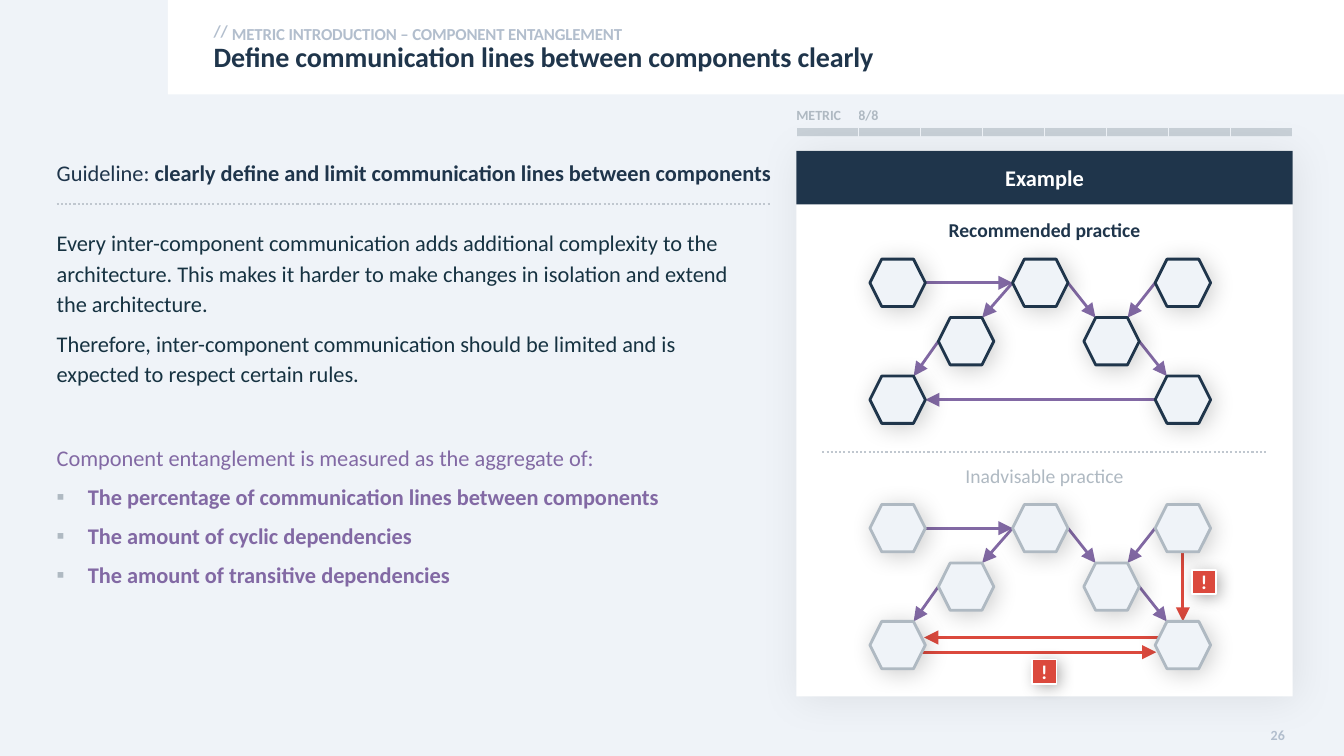
from lxml.etree import SubElement
from pptx import Presentation
from pptx.dml.color import RGBColor
from pptx.enum.dml import MSO_LINE
from pptx.enum.shapes import MSO_CONNECTOR, MSO_SHAPE
from pptx.enum.text import MSO_ANCHOR, MSO_AUTO_SIZE, PP_ALIGN
from pptx.oxml import parse_xml
from pptx.oxml.ns import nsdecls, qn
from pptx.util import Inches, Pt

COLS, ROWS = 160, 90
SLIDE_W, SLIDE_H = Inches(13.333), Inches(7.5)
FONT = "Calibri"
NAVY, INK, PURPLE, RED = "1F354B", "163241", "8269A4", "DB493D"
PALE, WHITE, MUTED, GREY, DOTS = "EFF3F8", "FFFFFF", "B2BECD", "AFB9C2", "C0C7CF"
NO_STYLE = "{2D5ABB26-0587-4C30-8999-92F81FD0307C}"

HEX_W, HEX_H = 6.6, 5.64
HEX_COLUMNS, HEX_ROWS = [0, 0.24, 0.5, 0.75, 1], [0, 0.5, 1]
W, E, N, S = (0, 0.5), (1, 0.5), (0.5, 0), (0.5, 1)
NW, NE = (0.21, 0), (0.79, 0)
COMPONENTS = [(0, 0), (2, 0), (4, 0), (1, 1), (3, 1), (0, 2), (4, 2)]
SHARED_LINKS = [
    ((0, 0), E, (2, 0), W), ((2, 0), W, (1, 1), NE), ((1, 1), W, (0, 2), NE),
    ((2, 0), E, (3, 1), NW), ((4, 0), W, (3, 1), NE), ((3, 1), E, (4, 2), NW),
]
RETURN_LINK = [((4, 2), W, (0, 2), E)]
BAD_LINKS = [
    ((4, 2), (0.18, 0.34), (0, 2), (0.98, 0.34)),
    ((0, 2), (0.82, 0.65), (4, 2), (0.02, 0.65)),
    ((4, 0), S, (4, 2), N),
]


def rgb(value):
    return RGBColor.from_string(value)


def place(x, y, w, h):
    col, row = SLIDE_W / COLS, SLIDE_H / ROWS
    return int(x * col), int(y * row), int(w * col), int(h * row)


def add_run(p, text, size, color, bold=False, spacing=None):
    r = p.add_run()
    r.text = text
    r.font.name, r.font.size, r.font.bold = FONT, Pt(size), bold
    r.font.color.rgb = rgb(color)
    if spacing is not None:
        r.font._element.set("spc", str(spacing))


def format_frame(tf, insets=(0, 0, 0, 0), anchor=MSO_ANCHOR.TOP, wrap=True):
    tf.word_wrap, tf.vertical_anchor = wrap, anchor
    tf.auto_size = MSO_AUTO_SIZE.NONE
    tf.margin_left, tf.margin_top, tf.margin_right, tf.margin_bottom = map(Inches, insets)
    return tf.paragraphs[0]


def add_text(s, box, **frame):
    return format_frame(s.shapes.add_textbox(*place(*box)).text_frame, **frame)


def add_shadow(sp, alpha, blur):
    sp._element.spPr.append(parse_xml(
        f'<a:effectLst {nsdecls("a")}><a:outerShdw blurRad="{Pt(blur)}" dist="{Pt(3)}" '
        f'dir="2700000" algn="tl" rotWithShape="0"><a:srgbClr val="000000">'
        f'<a:alpha val="{alpha * 1000}"/></a:srgbClr></a:outerShdw></a:effectLst>'))


def add_block(s, box, fill, line=None, width=1, shadow=None, kind=MSO_SHAPE.RECTANGLE):
    sp = s.shapes.add_shape(kind, *place(*box))
    sp.fill.solid()
    sp.fill.fore_color.rgb = rgb(fill)
    if line:
        sp.line.color.rgb = rgb(line)
        sp.line.width = Pt(width)
    else:
        sp.line.fill.background()
    if shadow:
        add_shadow(sp, *shadow)
    else:
        sp.shadow.inherit = False
    return sp


def add_line(s, start, end, color, width, arrow=False):
    x1, y1, x2, y2 = place(*start, *end)
    line = s.shapes.add_connector(MSO_CONNECTOR.STRAIGHT, x1, y1, x2, y2)
    line.line.color.rgb = rgb(color)
    line.line.width = Pt(width)
    if arrow:
        SubElement(line.line._get_or_add_ln(), qn("a:tailEnd"), type="triangle", w="lg", len="lg")
    else:
        line.line.dash_style = MSO_LINE.ROUND_DOT
    SubElement(line._element.spPr, qn("a:effectLst"))


def add_header(s, box):
    x, y, w, h = box
    add_block(s, box, WHITE)
    p = add_text(s, (x + 4.24, y + 1.92, 4.44, 3.6), insets=(0.1, 0.05, 0.1, 0.05),
                 anchor=MSO_ANCHOR.MIDDLE)
    add_run(p, "//", 12, MUTED, True, -10)
    p = add_text(s, (x + 7.6, y + 2.28, w - 13.5, 2.88), insets=(0, 0.02, 0.1, 0))
    p.line_spacing = 1.14
    add_run(p, "METRIC INTRODUCTION – COMPONENT ENTANGLEMENT", 12, MUTED, True, -10)
    title = s.shapes.title
    s.shapes._spTree.append(title._element)
    title.left, title.top, title.width, title.height = place(x + 5.44, y + 5.16, w - 11.3, 3.72)
    p = format_frame(title.text_frame)
    p.alignment, p.line_spacing = PP_ALIGN.LEFT, 0.9
    add_run(p, "Define communication lines between components clearly", 20, NAVY, True, -10)


def add_guideline(s, box):
    x, y, w, h = box
    insets = (0, 0.05, 0, 0.05)
    p = add_text(s, (x, y, w, 6.36), insets=insets)
    p.line_spacing = 1.14
    add_run(p, "Guideline: ", 16, NAVY)
    add_run(p, "clearly define and limit communication lines between components", 16, NAVY, True)
    add_line(s, (x, y + 6.4), (x + 84.9, y + 6.4), DOTS, 1.5)

    p = add_text(s, (x, y + 8.38, 80.64, h - 8.38), insets=insets)
    tf = p._parent
    paragraphs = [
        ("Every inter-component communication adds additional complexity to the architecture. "
         "This makes it harder to make changes in isolation and extend the architecture.", INK, False),
        ("Therefore, inter-component communication should be limited and is expected to respect "
         "certain rules.", INK, False),
        ("Component entanglement is measured as the aggregate of:", PURPLE, False),
        ("The percentage of communication lines between components", PURPLE, True),
        ("The amount of cyclic dependencies", PURPLE, True),
        ("The amount of transitive dependencies", PURPLE, True),
    ]
    for i, (text, color, bullet) in enumerate(paragraphs):
        p = p if i == 0 else tf.add_paragraph()
        p.line_spacing, p.space_after = 1.14, Pt(6)
        if i == 2:
            p.space_before = Pt(32)
        if bullet:
            pPr = p._p.get_or_add_pPr()
            pPr.set("marL", str(Inches(0.31)))
            pPr.set("indent", str(-Inches(0.31)))
            SubElement(SubElement(pPr, qn("a:buClr")), qn("a:srgbClr"), val=GREY)
            SubElement(pPr, qn("a:buFont"), typeface=FONT)
            SubElement(pPr, qn("a:buChar"), char="▪")
        add_run(p, text, 16, color, bullet)


def add_progress(s, box):
    x, y, w, h = box
    bar = add_block(s, (x, y + 2.46, w, 0.96), GREY)
    color = bar._element.spPr.find(qn("a:solidFill"))[0]
    SubElement(color, qn("a:alpha"), val="60000")
    table = s.shapes.add_table(1, 8, *place(*box)).table
    table.first_row = table.horz_banding = False
    table._tbl.tblPr.find(qn("a:tableStyleId")).text = NO_STYLE
    for cell, text in zip(table.rows[0].cells, ["METRIC", "8/8"] + [""] * 6):
        cell.margin_left = cell.margin_top = cell.margin_right = cell.margin_bottom = 0
        cell.fill.background()
        for i, side in enumerate(["lnL", "lnR"]):
            cell._tc.get_or_add_tcPr().insert(i, parse_xml(
                f'<a:{side} {nsdecls("a")} w="{Pt(1)}"><a:solidFill><a:srgbClr val="{PALE}"/>'
                f'</a:solidFill></a:{side}>'))
        if text:
            add_run(cell.text_frame.paragraphs[0], text, 10, GREY, True)


def add_diagram(s, box, outline, links, badges=()):
    x, y, w, h = box

    def point(component, anchor):
        col, row = component
        return (x + HEX_COLUMNS[col] * (w - HEX_W) + anchor[0] * HEX_W,
                y + HEX_ROWS[row] * (h - HEX_H) + anchor[1] * HEX_H)

    for color, group in links:
        for source, out, target, into in group:
            add_line(s, point(source, out), point(target, into), color, 2, arrow=True)
    for component in COMPONENTS:
        add_block(s, (*point(component, (0, 0)), HEX_W, HEX_H), PALE, outline, 2, (20, 17),
                  MSO_SHAPE.HEXAGON)
    for dx, dy in badges:
        sp = add_block(s, (x + dx, y + dy, 2.88, 2.88), RED, WHITE, 1, (30, 11))
        p = format_frame(sp.text_frame, anchor=MSO_ANCHOR.MIDDLE)
        p.alignment = PP_ALIGN.CENTER
        add_run(p, "!", 14, WHITE, True)


def add_example(s, box):
    x, y, w, h = box
    add_block(s, box, WHITE, shadow=(7, 30))
    head = add_block(s, (x, y, w, 6.4), NAVY)
    p = format_frame(head.text_frame, (0, 0.08, 0, 0.08), MSO_ANCHOR.MIDDLE)
    p.alignment = PP_ALIGN.CENTER
    add_run(p, "Example", 16, WHITE, True)
    add_line(s, (x + 3.1, y + 35.9), (x + w - 3.1, y + 35.9), DOTS, 1.5)
    practices = [
        (8.04, "Recommended practice", NAVY, True, NAVY,
         [(PURPLE, SHARED_LINKS + RETURN_LINK)], ()),
        (37.25, "Inadvisable practice", GREY, False, GREY,
         [(PURPLE, SHARED_LINKS), (RED, BAD_LINKS)], ((19.32, 18.48), (38.35, 7.8))),
    ]
    for top, label, color, bold, outline, links, badges in practices:
        p = add_text(s, (x, y + top, w, 4.68))
        p.alignment = PP_ALIGN.CENTER
        add_run(p, label, 14, color, bold)
        add_diagram(s, (x + 8.76, y + top + 4.86, 40.56, 19.56), outline, links, badges)


def add_page_number(s, box):
    p = add_text(s, box, insets=(0, 0.04, 0.1, 0.05), anchor=MSO_ANCHOR.MIDDLE, wrap=False)
    p.alignment = PP_ALIGN.RIGHT
    add_run(p, "26", 10, MUTED, True, 10)


def main():
    prs = Presentation()
    prs.slide_width, prs.slide_height = SLIDE_W, SLIDE_H
    s = prs.slides.add_slide(prs.slide_layouts[5])
    add_block(s, (0, 0, COLS, ROWS), PALE)
    add_header(s, (20, 0, 140, 11.25))
    add_guideline(s, (6.75, 17.9, 88.08, 60.7))
    add_progress(s, (94.8, 12.8, 59.1, 4))
    add_example(s, (94.8, 17.95, 59.1, 64.95))
    add_page_number(s, (150.9, 86, 3.24, 3.12))
    prs.save("out.pptx")


if __name__ == "__main__":
    main()
